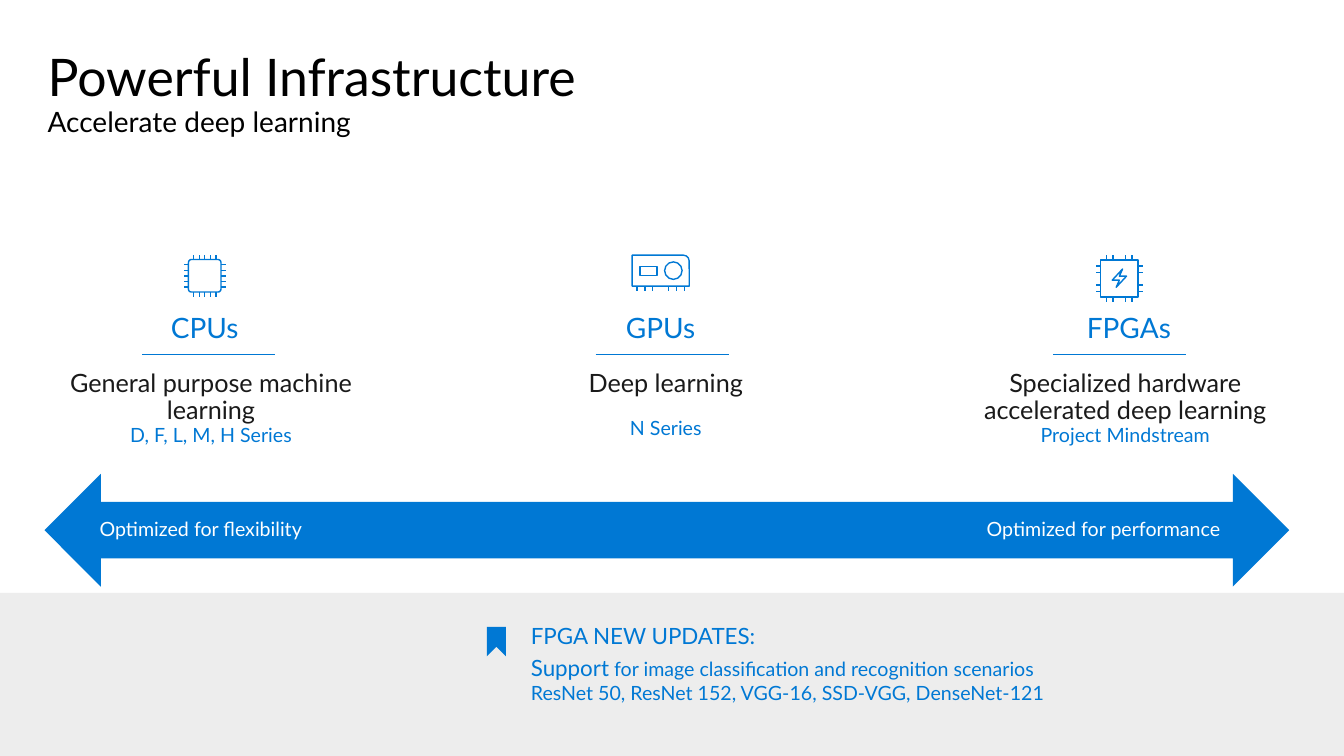
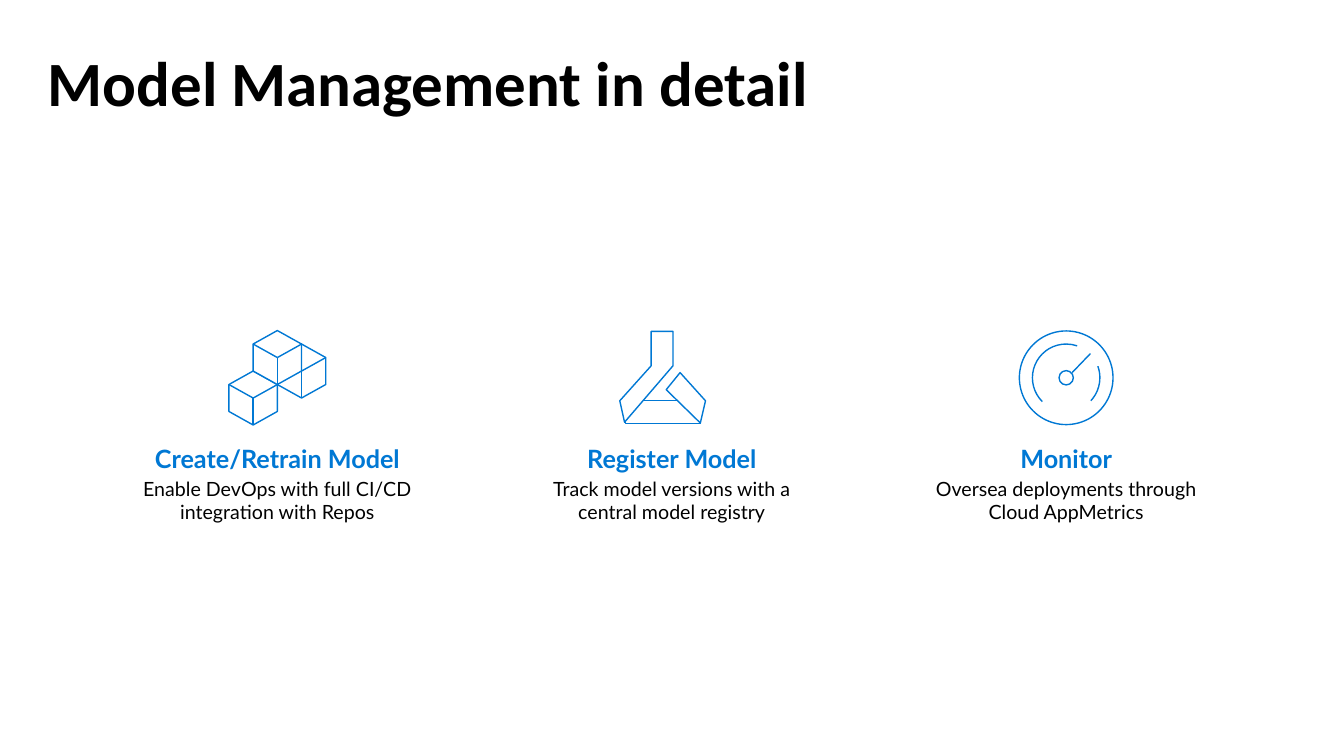
from lxml.etree import SubElement
from pptx import Presentation
from pptx.dml.color import RGBColor
from pptx.enum.shapes import MSO_CONNECTOR as Link, MSO_SHAPE as Kind
from pptx.enum.text import MSO_ANCHOR as Anchor, MSO_AUTO_SIZE as Auto, PP_ALIGN as Align
from pptx.oxml.ns import qn
from pptx.util import Cm, Pt

# Shared look; all lengths are in centimetres
BLUE, GREY, INK, BLACK, WHITE = "0078D4", "EDEDED", "1A1A1A", "000000", "FFFFFF"
FONT = "Lato"
WIDE, HIGH = 33.87, 19.05
LEFT, SPAN = 1.2, 31.5

# Slide 1: name, centres of label, rule and text, lines, gap before the series
CHIPS = [
    ("CPUs", 5.16, 5.26, 5.32, "General purpose machine learning", "D, F, L, M, H Series", 0),
    ("GPUs", 16.65, 16.69, 16.78, "Deep learning", "N Series", 15),
    ("FPGAs", 28.45, 28.22, 28.36, "Specialized hardware accelerated deep learning",
     "Project Mindstream", 0),
]
ENDS = [("Optimized for flexibility", 2.51, Align.LEFT),
        ("Optimized for performance", 21.92, Align.RIGHT)]
NEWS = [
    (0, [("FPGA NEW UPDATES:", 16, BLUE)]),
    (4, [("Support", 16, BLUE),
         (" for image classification and recognition scenarios", 14, BLUE)]),
    (0, [("ResNet 50, ResNet 152, VGG-16, SSD-VGG, DenseNet-121", 14, BLUE)]),
]
MARK = [(12.27, 15.8), (12.75, 15.8), (12.75, 16.54), (12.51, 16.3), (12.27, 16.54)]
BOLT = [(0.08, -0.24), (0, -0.06), (0.18, -0.06), (-0.08, 0.22), (0, 0.04), (-0.18, 0.04)]

# Slide 2
STEPS = [
    ("Create/Retrain Model", "Enable DevOps with full CI/CD integration with Repos"),
    ("Register Model", "Track model versions with a central model registry"),
    ("Monitor", "Oversea deployments through Cloud AppMetrics"),
]
NECK = [(-0.3, -1.17), (0.25, -1.17), (0.25, -0.3), (-0.97, 1.12), (-1.09, 0.58), (-0.3, -0.3)]
FLAP = [(0.08, 0.3), (0.43, -0.13), (1.07, 0.58), (0.94, 1.14)]


def rgb(code):
    return RGBColor.from_string(code)


def style(part, fill=None, line=BLUE):
    part.shadow.inherit = False
    if fill:
        part.fill.solid()
        part.fill.fore_color.rgb = rgb(fill)
    else:
        part.fill.background()
    if line:
        part.line.color.rgb = rgb(line)
        part.line.width = Pt(1)
    else:
        part.line.fill.background()
    return part


def shape(slide, kind, box, fill=None, line=BLUE):
    return style(slide.shapes.add_shape(kind, *map(Cm, box)), fill, line)


def disc(slide, x, y, r, kind=Kind.OVAL):
    return shape(slide, kind, (x - r, y - r, 2 * r, 2 * r))


def line(slide, x1, y1, x2, y2):
    link = slide.shapes.add_connector(Link.STRAIGHT, *map(Cm, (x1, y1, x2, y2)))
    link.line.color.rgb = rgb(BLUE)
    link.line.width = Pt(1)
    SubElement(link._element.spPr, qn("a:effectLst"))


def poly(slide, spots, x=0, y=0, fill=None, edge=BLUE):
    spots = [(Cm(x + a), Cm(y + b)) for a, b in spots]
    form = slide.shapes.build_freeform(*spots[0])
    form.add_line_segments(spots[1:], close=True)
    return style(form.convert_to_shape(), fill, edge)


def write(frame, paras, align=Align.LEFT, anchor=Anchor.TOP, inset=(0, 0, 0, 0),
          lead=None, font=FONT, bold=False):
    """Fill a frame with (space before, runs) paragraphs."""
    frame.word_wrap = True
    frame.auto_size = Auto.NONE
    frame.vertical_anchor = anchor
    (frame.margin_left, frame.margin_top,
     frame.margin_right, frame.margin_bottom) = map(Cm, inset)
    for i, (gap, runs) in enumerate(paras):
        para = frame.add_paragraph() if i else frame.paragraphs[0]
        para.alignment = align
        para.space_before = Pt(gap)
        if lead:
            para.line_spacing = lead
        for words, size, tint, *heavy in runs:
            run = para.add_run()
            run.text = words
            run.font.name = font
            run.font.size = Pt(size)
            run.font.color.rgb = rgb(tint)
            run.font.bold = heavy[0] if heavy else bold


def text(slide, box, paras, **look):
    write(slide.shapes.add_textbox(*map(Cm, box)).text_frame, paras, **look)


def start(deck, name, size, **look):
    slide = deck.slides.add_slide(deck.slide_layouts[5])
    title = slide.shapes.title
    title.left, title.top, title.width, title.height = map(Cm, (LEFT, 0.84, SPAN, 2.1))
    write(title.text_frame, [(0, [(name, size, BLACK)])],
          inset=(0, 0.46, 0, 0), lead=0.9, **look)
    return slide


# Icons, each drawn around its centre
def chip(slide, x, y, half, pins, size, kind):
    body = shape(slide, kind, (x - half, y - half, 2 * half, 2 * half))
    if kind == Kind.ROUNDED_RECTANGLE:
        body.adjustments[0] = 0.09
    for side in (-1, 1):
        near, far = side * half, side * (half + size)
        for pin in pins:
            line(slide, x + pin, y + near, x + pin, y + far)
            line(slide, x + near, y + pin, x + far, y + pin)


def cpu(slide, x, y):
    chip(slide, x, y, 0.41, [0.14 * i for i in range(-2, 3)], 0.12, Kind.ROUNDED_RECTANGLE)


def gpu(slide, x, y):
    card = shape(slide, Kind.ROUND_1_RECTANGLE, (x - 0.72, y - 0.39, 1.44, 0.78))
    card.adjustments[0] = 0.19
    for i in (-3, -2, -1, 1, 2, 3):
        line(slide, x + 0.2 * i, y + 0.39, x + 0.2 * i, y + 0.52)
    disc(slide, x + 0.32, y, 0.22)
    shape(slide, Kind.RECTANGLE, (x - 0.52, y - 0.11, 0.43, 0.23))


def fpga(slide, x, y):
    chip(slide, x, y, 0.47, (-0.32, -0.16, 0.16, 0.32), 0.13, Kind.RECTANGLE)
    poly(slide, BOLT, x, y)


def cube(slide, x, y, fill=None):
    w, h = 0.61, 0.34
    poly(slide, [(0, -2 * h), (w, -h), (w, h), (0, 2 * h), (-w, h), (-w, -h)], x, y, fill)
    for dx, dy in ((-w, -h), (w, -h), (0, 2 * h)):
        line(slide, x, y, x + dx, y + dy)


def cubes(slide, x, y):
    cube(slide, x + 0.61, y - 0.17)
    cube(slide, x - 0.61, y + 0.51)
    cube(slide, x, y - 0.51, WHITE)


def flask(slide, x, y):
    x -= 0.22
    shape(slide, Kind.RECTANGLE, (x - 0.94, y + 0.58, 1.88, 0.58), WHITE)
    for spots in (NECK, FLAP):
        poly(slide, spots, x, y, WHITE)


def gauge(slide, x, y):
    for r in (1.18, 0.18):
        disc(slide, x, y, r)
    for first, last in ((135, 289), (340, 43)):
        arc = disc(slide, x, y, 0.85, Kind.ARC)
        # Angles are stored in 60000ths of a degree, adjustments in 100000ths
        arc.adjustments[0], arc.adjustments[1] = first * 0.6, last * 0.6
    line(slide, x + 0.15, y - 0.13, x + 0.61, y - 0.61)


def power(deck):
    slide = start(deck, "Powerful Infrastructure", 37)
    text(slide, (LEFT, 2.74, SPAN, 0.76),
         [(0, [("Accelerate deep learning", 20, BLACK)])], lead=0.9)

    # Processor columns
    for name, mid, rule, body, use, kind, gap in CHIPS:
        text(slide, (mid - 1.3, 7.9, 2.6, 0.79), [(0, [(name, 20, BLUE)])],
             align=Align.CENTER, anchor=Anchor.MIDDLE, lead=0.9)
        line(slide, rule - 1.68, 8.93, rule + 1.68, 8.93)
        text(slide, (body - 4.35, 8.93, 8.7, 2.4),
             [(0, [(use, 18, INK)]), (gap, [(kind, 14, BLUE)])],
             align=Align.CENTER, inset=(0.51, 0.41, 0.51, 0.41), lead=0.9)
    for draw, x, y in ((cpu, 5.16, 6.95), (gpu, 16.65, 6.82), (fpga, 28.21, 7.02)):
        draw(slide, x, y)

    # Arrow from flexibility to performance
    shape(slide, Kind.LEFT_RIGHT_ARROW, (1.12, 11.94, 31.37, 2.84), BLUE, None)
    for words, x, align in ENDS:
        text(slide, (x, 13.08, 8.84, 0.56), [(0, [(words, 14, WHITE)])],
             align=align, anchor=Anchor.MIDDLE, lead=0.9)

    # News band
    shape(slide, Kind.RECTANGLE, (0, 14.94, WIDE, HIGH - 14.94), GREY, None)
    poly(slide, MARK, fill=BLUE, edge=None)
    text(slide, (13.13, 15.67, 20, 2.2), NEWS, inset=(0.25, 0, 0, 0))


def manage(deck):
    slide = start(deck, "Model Management in detail", 45, font="Calibri", bold=True)
    for i, (draw, (name, note)) in enumerate(zip((cubes, flask, gauge), STEPS)):
        mid = 6.99 + 9.94 * i
        draw(slide, mid, 9.52)
        text(slide, (mid - 3.68, 11.05, 7.36, 2.26),
             [(0, [(name, 18, BLUE, True)]), (2, [(note, 14, BLACK)])],
             align=Align.CENTER, inset=(0.25, 0.13, 0.25, 0.13))


def main():
    deck = Presentation()
    deck.slide_width, deck.slide_height = Cm(WIDE), Cm(HIGH)
    power(deck)
    manage(deck)
    deck.save("out.pptx")


if __name__ == "__main__":
    main()
